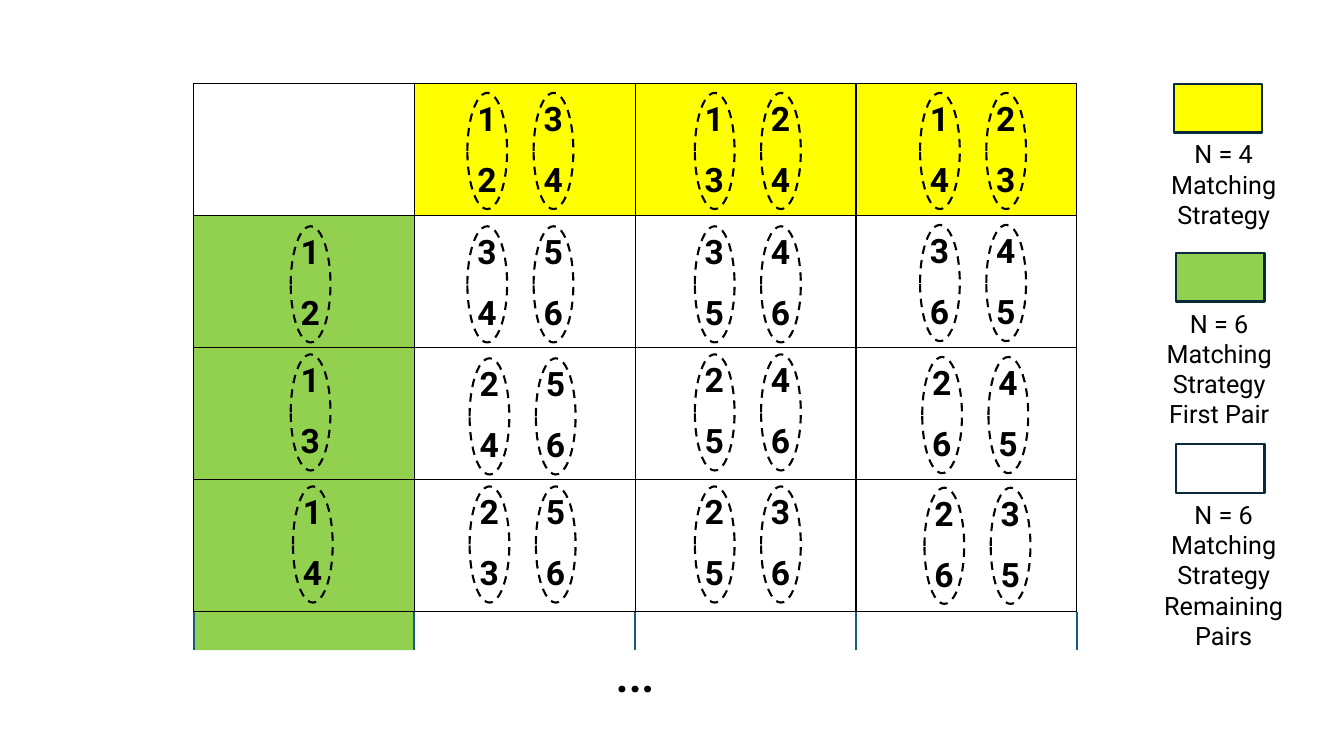
from pptx import Presentation
from pptx.dml.color import RGBColor
from pptx.enum.dml import MSO_LINE_DASH_STYLE as Dash
from pptx.enum.shapes import MSO_CONNECTOR as Connector, MSO_SHAPE as Shape
from pptx.enum.text import MSO_AUTO_SIZE as AutoSize, PP_ALIGN as Align
from pptx.oxml import parse_xml
from pptx.oxml.ns import nsdecls
from pptx.util import Inches, Pt

BLACK, WHITE, YELLOW, GREEN = "000000", "FFFFFF", "FFFF00", "92D050"
NAVY, BLUE = "092A39", "156082"
TABLE_SIZE = 4
TAIL_ROWS = 0.29

# Column, row (of the first oval's corner) and the pairs, top digit first
PAIRINGS = [
    (1.24, 0.07, "12 34"), (2.27, 0.07, "13 24"), (3.29, 0.07, "14 23"),
    (0.44, 1.08, "12"),
    (1.24, 1.08, "34 56"), (2.27, 1.08, "35 46"), (3.29, 1.07, "36 45"),
    (0.44, 2.05, "13"),
    (1.25, 2.08, "24 56"), (2.27, 2.05, "25 46"), (3.30, 2.07, "26 45"),
    (0.45, 3.05, "14"),
    (1.25, 3.05, "23 56"), (2.27, 3.05, "25 36"), (3.31, 3.06, "26 35"),
]

# Swatch column, row, fill; label column, label height, label paragraphs
LEGEND = [
    (4.44, 0, YELLOW, 4.28, 0.77, ["N = 4 Matching Strategy"]),
    (4.45, 1.28, GREEN, 4.26, 1, ["N = 6 Matching Strategy", "First Pair"]),
    (4.45, 2.73, WHITE, 4.28, 1.24,
     ["N = 6 Matching Strategy", "Remaining", "Pairs"]),
]


def color(hex_value):
    return RGBColor.from_string(hex_value)


def apply_format(target, values):
    for name, value in values.items():
        setattr(target, name, value)


class GridSlide:
    """Draws on one slide; all lengths are columns and rows of its grid."""

    font_name = "Roboto"
    left, top = 1.92, 0.83
    column_width, row_height = 2.19, 1.31

    def __init__(self, presentation):
        self.slide = presentation.slides.add_slide(presentation.slide_layouts[6])
        self.shapes = self.slide.shapes

    def point(self, column, row):
        return (Inches(self.left + column * self.column_width),
                Inches(self.top + row * self.row_height))

    def box(self, column, row, columns, rows):
        return (*self.point(column, row), Inches(columns * self.column_width),
                Inches(rows * self.row_height))

    def shape(self, kind, place, fill=None, line=None, dash=None):
        shape = self.shapes.add_shape(kind, *self.box(*place))
        shape.shadow.inherit = False
        if fill:
            shape.fill.solid()
            shape.fill.fore_color.rgb = color(fill)
        else:
            shape.fill.background()
        if line:
            shape.line.color.rgb = color(line)
            apply_format(shape.line, {"width": Pt(1.5), "dash_style": dash})
        else:
            shape.line.fill.background()

    def text(self, paragraphs, place, size, bold=False, align=Align.LEFT):
        frame = self.shapes.add_textbox(*self.box(*place)).text_frame
        frame.text = "\n".join(paragraphs)
        apply_format(frame, {"word_wrap": True,
                             "auto_size": AutoSize.SHAPE_TO_FIT_TEXT})
        for paragraph in frame.paragraphs:
            paragraph.alignment = align
            apply_format(paragraph.font, {"name": self.font_name,
                                          "size": Pt(size), "bold": bold})
            paragraph.font.color.rgb = color(BLACK)

    def line(self, start, end, line):
        connector = self.shapes.add_connector(
            Connector.STRAIGHT, *self.point(*start), *self.point(*end))
        connector.line.color.rgb = color(line)
        connector.line.width = Pt(1.5)
        connector._element.spPr.append(
            parse_xml(f"<a:effectLst {nsdecls('a')}/>"))

    def table(self, size, cell_fill):
        table = self.shapes.add_table(
            size, size, *self.box(0, 0, size, size)).table
        apply_format(table, {"first_row": False, "horz_banding": False})
        for column in table.columns:
            column.width = Inches(self.column_width)
        for row_index, row in enumerate(table.rows):
            row.height = Inches(self.row_height)
            for column_index, cell in enumerate(row.cells):
                cell.fill.solid()
                cell.fill.fore_color.rgb = color(
                    cell_fill(row_index, column_index))
                self.cell_borders(cell)

    def cell_borders(self, cell):
        properties = cell._tc.get_or_add_tcPr()
        for index, side in enumerate("LRTB"):
            properties.insert(index, parse_xml(
                f'<a:ln{side} {nsdecls("a")} w="{Pt(1)}"><a:solidFill>'
                f'<a:srgbClr val="{BLACK}"/></a:solidFill></a:ln{side}>'))

    def pair(self, column, row, digits):
        for index, digit in enumerate(digits):
            self.text([digit], (column, row + 0.46 * index, 0.18, 0.38),
                      24, bold=True)
        self.shape(Shape.OVAL, (column, row, 0.18, 0.88),
                   line=BLACK, dash=Dash.DASH)


def strategy_fill(row, column):
    if row == 0:
        return YELLOW if column else WHITE
    return WHITE if column else GREEN


def main():
    presentation = Presentation()
    apply_format(presentation, {"slide_width": Inches(13.33),
                                "slide_height": Inches(7.5)})
    grid = GridSlide(presentation)

    # Strategy table and its cut-off next row
    grid.shape(Shape.RECTANGLE, (0, TABLE_SIZE, 1, TAIL_ROWS), fill=GREEN)
    grid.table(TABLE_SIZE, strategy_fill)

    # Digit pairs in their ovals
    for column, row, pairs in PAIRINGS:
        for index, digits in enumerate(pairs.split()):
            grid.pair(column + 0.3 * index, row, digits)

    # Continuation below the table
    for column in range(TABLE_SIZE + 1):
        grid.line((column, TABLE_SIZE), (column, TABLE_SIZE + TAIL_ROWS), BLUE)
    grid.text(["…"], (1.86, 4.11, 1.75, 0.64), 44)

    # Legend
    for column, row, fill, label_column, label_rows, label in LEGEND:
        grid.shape(Shape.RECTANGLE, (column, row, 0.4, 0.37), fill, NAVY)
        grid.text(label, (label_column, row + 0.38, 0.77, label_rows),
                  18, align=Align.CENTER)

    presentation.save("out.pptx")


if __name__ == "__main__":
    main()
